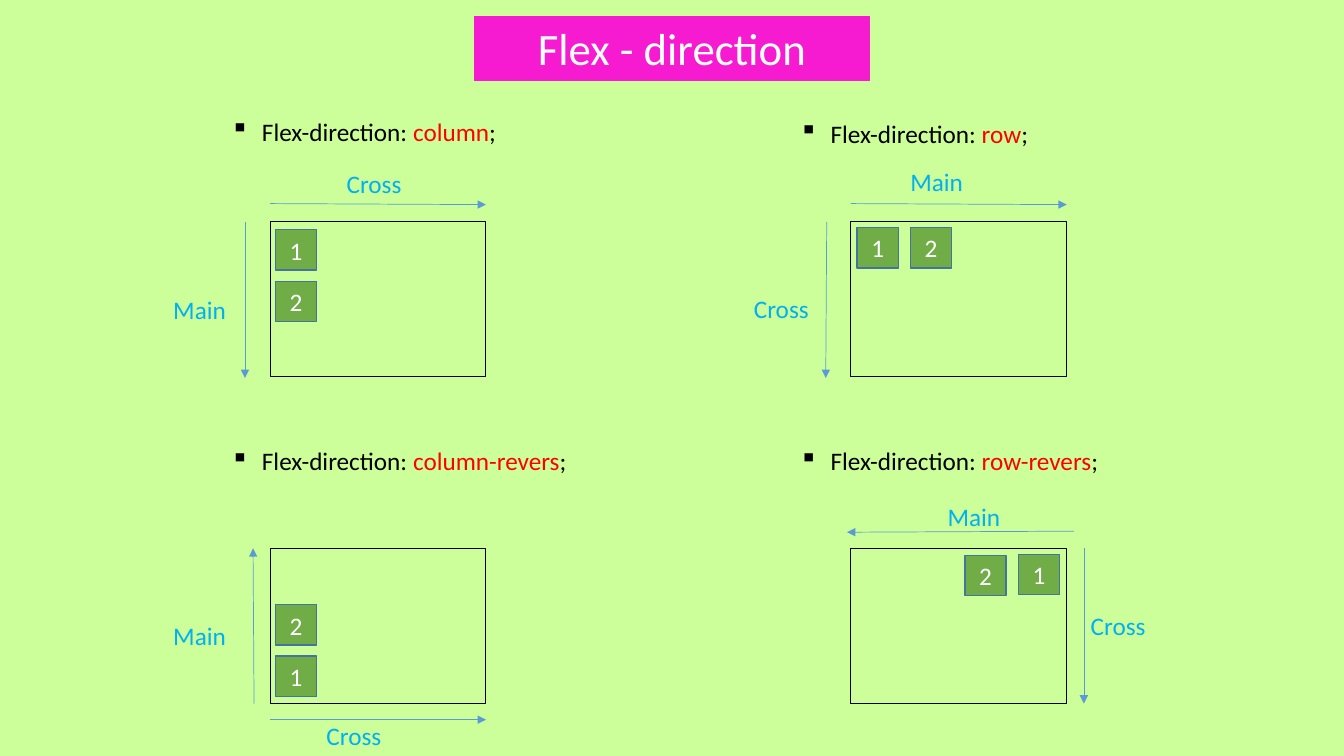
from lxml import etree
from pptx import Presentation
from pptx import util as u
from pptx.dml import color
from pptx.enum import shapes, text
from pptx.oxml import ns

PINK, LIME, GREEN, EDGE = "F61AD1", "CCFF99", "70AD47", "43739E"
BLACK, WHITE, RED, SKY, BLUE = "000000", "FFFFFF", "FF0000", "00B0F0", "5B9BD5"
WIDE, HIGH = 2.14, 1.54      # flex container
TILE = (0.41, 0.4)           # flex item


def rgb(code):
    return color.RGBColor.from_string(code)


class Deck:
    font = "Calibri"
    size = 18

    def __init__(self):
        self.prs = Presentation()
        self.prs.slide_width = u.Inches(13.33)
        self.prs.slide_height = u.Inches(7.5)
        self.slide = self.prs.slides.add_slide(self.prs.slide_layouts[6])
        back = self.slide.background.fill
        back.solid()
        back.fore_color.rgb = rgb(LIME)

    def put(self, para, runs, size=None):
        for words, tint in runs:
            run = para.add_run()
            run.text = words
            run.font.name = self.font
            run.font.size = u.Pt(size or self.size)
            run.font.color.rgb = rgb(tint)

    def rect(self, x, y, w, h, fill, edge, width=0.75):
        box = self.slide.shapes.add_shape(
            shapes.MSO_SHAPE.RECTANGLE, *map(u.Inches, (x, y, w, h)))
        box.shadow.inherit = False
        if fill:
            box.fill.solid()
            box.fill.fore_color.rgb = rgb(fill)
        else:
            box.fill.background()
        box.line.color.rgb = rgb(edge)
        box.line.width = u.Pt(width)
        return box

    def title(self, words, x, y, w, h):
        frame = self.rect(x, y, w, h, PINK, PINK).text_frame
        frame.vertical_anchor = text.MSO_ANCHOR.TOP
        frame.paragraphs[0].alignment = text.PP_ALIGN.CENTER
        self.put(frame.paragraphs[0], [(words, WHITE)], 32)

    def tile(self, words, x, y):
        frame = self.rect(x, y, *TILE, GREEN, EDGE, 1).text_frame
        frame.vertical_anchor = text.MSO_ANCHOR.MIDDLE
        frame.paragraphs[0].alignment = text.PP_ALIGN.CENTER
        self.put(frame.paragraphs[0], [(words, WHITE)])

    def label(self, runs, x, y, w):
        box = self.slide.shapes.add_textbox(*map(u.Inches, (x, y, w, 0.4)))
        frame = box.text_frame
        frame.word_wrap = True
        frame.auto_size = text.MSO_AUTO_SIZE.SHAPE_TO_FIT_TEXT
        self.put(frame.paragraphs[0], runs)
        return frame.paragraphs[0]

    def bullet(self, value, x, y, w):
        para = self.label([("Flex-direction: ", BLACK), (value, RED),
                           (";", BLACK)], x, y, w)
        props = para._p.get_or_add_pPr()
        props.set("marL", str(u.Inches(0.31)))
        props.set("indent", str(u.Inches(-0.31)))
        etree.SubElement(props, ns.qn("a:buChar")).set("char", "▪")

    def arrow(self, x1, y1, x2, y2):
        link = self.slide.shapes.add_connector(
            shapes.MSO_CONNECTOR.STRAIGHT, *map(u.Inches, (x1, y1, x2, y2)))
        link.line.color.rgb = rgb(BLUE)
        link.line.width = u.Pt(0.5)
        props = link._element.spPr
        tail = etree.SubElement(props.find(ns.qn("a:ln")), ns.qn("a:tailEnd"))
        tail.set("type", "triangle")
        etree.SubElement(props, ns.qn("a:effectLst"))

    def panel(self, value, head, spot, tiles, names, arrows):
        self.bullet(value, *head)
        self.rect(*spot, WIDE, HIGH, None, BLACK)
        for words, x, y in tiles:
            self.tile(words, x, y)
        for words, x, y in names:
            self.label([(words, SKY)], x, y, 0.94 if words == "Cross" else 0.8)
        for ends in arrows:
            self.arrow(*ends)


# Each panel: value, bullet place, container corner, tiles, axis names, arrows
LEFT, RIGHT, TOP, LOW = 2.68, 8.44, 2.2, 5.44
PANELS = [
    ("column", (2.19, 1.1, 3.41), (LEFT, TOP),
     [("1", 2.73, 2.28), ("2", 2.73, 2.79)],
     [("Cross", 3.34, 1.62), ("Main", 1.62, 2.87)],
     [(2.43, TOP, 2.43, 3.75), (LEFT, 2.02, LEFT + WIDE, 2.03)]),
    ("row", (7.83, 1.12, 3.41), (RIGHT, TOP),
     [("1", 8.5, 2.26), ("2", 9.03, 2.26)],
     [("Cross", 7.38, 2.86), ("Main", 8.93, 1.6)],
     [(8.2, TOP, 8.19, 3.75), (RIGHT, 2.02, RIGHT + WIDE, 2.03)]),
    ("column-revers", (2.19, 4.37, 3.73), (LEFT, LOW),
     [("2", 2.73, 6), ("1", 2.73, 6.51)],
     [("Cross", 3.14, 7.1), ("Main", 1.62, 6.11)],
     [(2.52, LOW + HIGH, 2.51, LOW), (LEFT, 7.14, LEFT + WIDE, 7.14)]),
    ("row-revers", (7.83, 4.37, 3.41), (RIGHT, LOW),
     [("2", 9.57, 5.51), ("1", 10.1, 5.5)],
     [("Cross", 10.72, 6.01), ("Main", 9.3, 4.92)],
     [(10.75, LOW, 10.75, LOW + HIGH), (10.65, 5.27, 8.4, 5.28)]),
]


def main():
    deck = Deck()
    deck.title("Flex - direction", 4.71, 0.16, 3.91, 0.64)
    for panel in PANELS:
        deck.panel(*panel)
    deck.prs.save("out.pptx")


if __name__ == "__main__":
    main()
